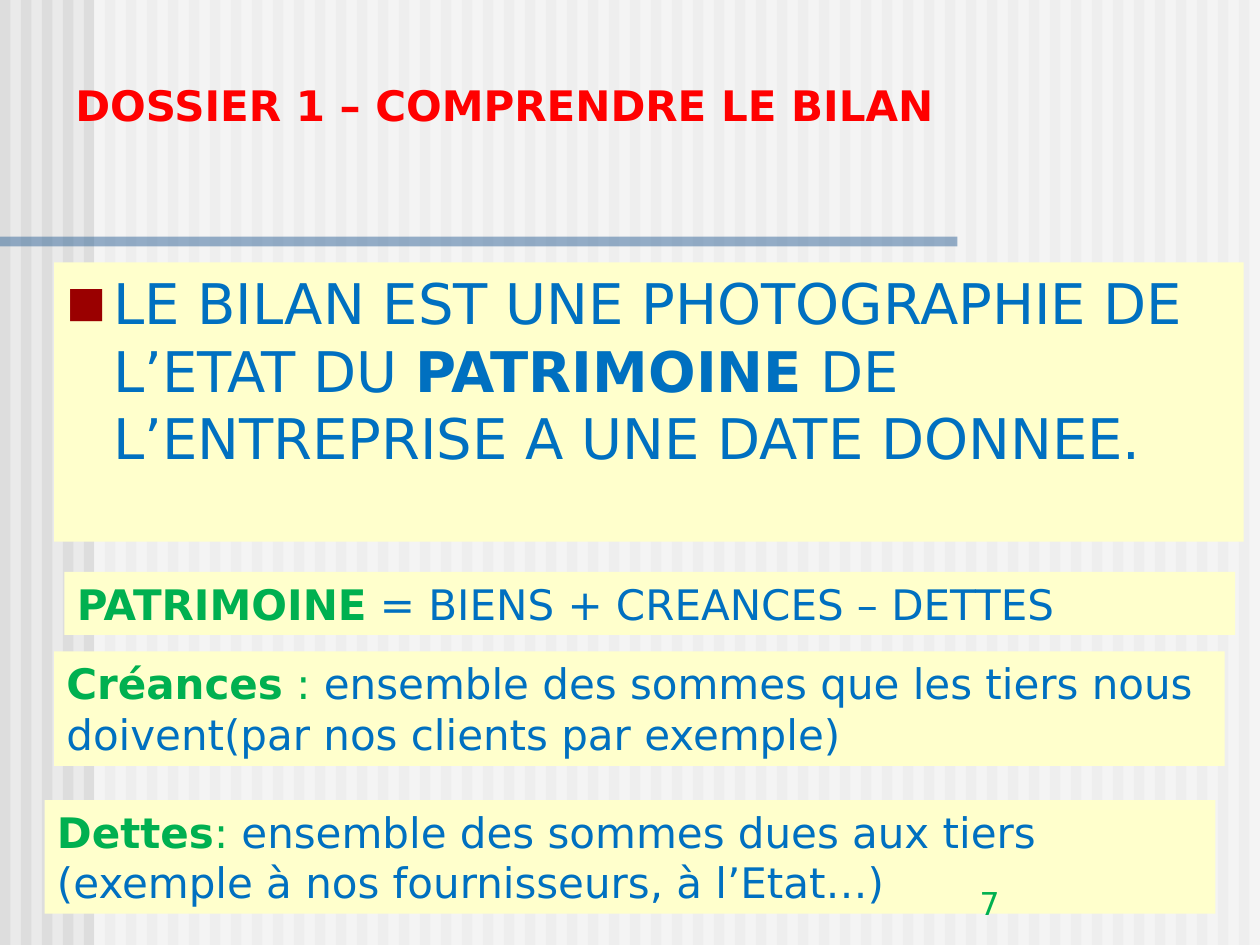
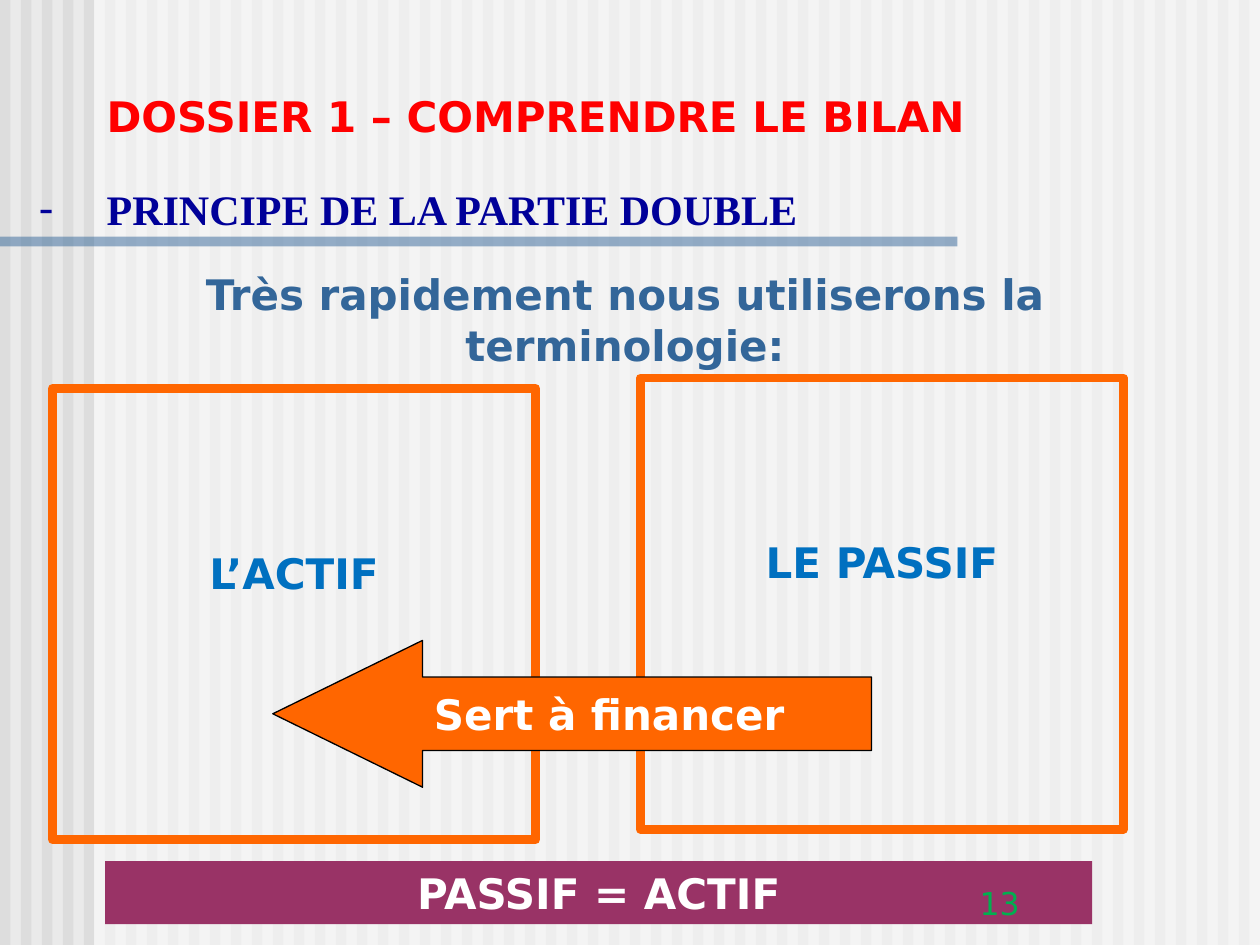
"""Build two accounting slides that explain the balance sheet."""
from dataclasses import dataclass, field
from typing import Any, NamedTuple, Optional

from lxml.etree import SubElement
from pptx import Presentation
from pptx.dml.color import RGBColor
from pptx.enum.shapes import MSO_SHAPE
from pptx.enum.text import MSO_ANCHOR, MSO_AUTO_SIZE, PP_ALIGN
from pptx.oxml.ns import qn
from pptx.util import Cm, Pt

WIDTH, HEIGHT = 25.4, 19.05
STRIPES = 60
SANS, SERIF = "DejaVu Sans", "Times New Roman"
RED, BLUE, GREEN, NAVY, STEEL = "FF0000", "0070C0", "00B050", "000099", "336699"
CREAM, ORANGE, PLUM, WHITE = "FFFFCC", "FF6600", "993366", "FFFFFF"
TITLE = "DOSSIER 1 – COMPRENDRE LE BILAN"


class Rect(NamedTuple):
    left: float
    top: float
    width: float
    height: float


class Run(NamedTuple):
    text: str
    color: str
    bold: bool = False
    size: float = 24
    font: str = SANS


class Bullet(NamedTuple):
    char: str
    color: str
    indent: float
    percent: int = 100


@dataclass
class Block:
    rect: Rect
    runs: list[Run] = field(default_factory=list)
    fill: Optional[str] = None
    line: Optional[str] = None
    line_width: float = 0.75
    alpha: int = 100
    align: Any = PP_ALIGN.LEFT
    anchor: Any = MSO_ANCHOR.TOP
    top_inset: float = 0.13
    bullet: Optional[Bullet] = None
    preset: Any = MSO_SHAPE.RECTANGLE


def rgb(color: str) -> RGBColor:
    return RGBColor.from_string(color)


def apply(target: Any, values: dict[str, Any]) -> None:
    for name, value in values.items():
        setattr(target, name, value)


def paint(sp: Any, block: Block) -> None:
    if block.fill:
        sp.fill.solid()
        sp.fill.fore_color.rgb = rgb(block.fill)
        if block.alpha < 100:
            clr = sp.element.spPr.find(f"{qn('a:solidFill')}/{qn('a:srgbClr')}")
            SubElement(clr, qn("a:alpha"), val=str(block.alpha * 1000))
    else:
        sp.fill.background()
    if block.line:
        sp.line.color.rgb = rgb(block.line)
        sp.line.width = Pt(block.line_width)
    else:
        sp.line.fill.background()


def add_bullet(p: Any, bullet: Bullet) -> None:
    pPr = p._p.get_or_add_pPr()
    indent = Cm(bullet.indent)
    pPr.set("marL", str(indent))
    pPr.set("indent", str(-indent))
    clr = SubElement(pPr, qn("a:buClr"))
    SubElement(clr, qn("a:srgbClr"), val=bullet.color)
    SubElement(pPr, qn("a:buSzPct"), val=str(bullet.percent * 1000))
    SubElement(pPr, qn("a:buFont"), typeface=SANS)
    SubElement(pPr, qn("a:buChar"), char=bullet.char)


def write(sp: Any, block: Block) -> None:
    tf = sp.text_frame
    apply(tf, {
        "word_wrap": True,
        "auto_size": MSO_AUTO_SIZE.NONE,
        "vertical_anchor": block.anchor,
        "margin_left": Cm(0.25),
        "margin_right": Cm(0.25),
        "margin_top": Cm(block.top_inset),
        "margin_bottom": Cm(0.13),
    })
    p = tf.paragraphs[0]
    apply(p, {"alignment": block.align, "space_before": Pt(0)})
    if block.bullet:
        add_bullet(p, block.bullet)
    for run in block.runs:
        r = p.add_run()
        r.text = run.text
        apply(r.font, {"name": run.font, "size": Pt(run.size), "bold": run.bold})
        r.font.color.rgb = rgb(run.color)


def fill_placeholder(sp: Any, block: Block) -> None:
    names = ("left", "top", "width", "height")
    apply(sp, {name: Cm(v) for name, v in zip(names, block.rect)})
    paint(sp, block)
    write(sp, block)


def draw(s: Any, block: Block) -> Any:
    place = [Cm(v) for v in block.rect]
    if block.fill or block.line:
        sp = s.shapes.add_shape(block.preset, *place)
        sp.shadow.inherit = False
        paint(sp, block)
    else:
        sp = s.shapes.add_textbox(*place)
    if block.runs:
        write(sp, block)
    return sp


def decorate_master(prs: Any, s: Any) -> None:
    master = prs.slide_master
    master.background.fill.solid()
    master.background.fill.fore_color.rgb = rgb("EAEAEA")
    step = WIDTH / STRIPES
    blocks = [Block(Rect(i * step, 0, step / 2, HEIGHT), fill="DDDDDD")
              for i in range(STRIPES)]
    blocks += [
        Block(Rect(1.9, 0, WIDTH - 1.9, HEIGHT), fill=WHITE, alpha=50),
        Block(Rect(0, 4.77, 19.3, 0.2), fill=STEEL, alpha=50),
    ]
    first = master.placeholders[0].element
    for number, block in enumerate(blocks, start=100):
        el = draw(s, block).element
        el.nvSpPr.cNvPr.set("id", str(number))
        first.addprevious(el)


def build_slide(s: Any, title: Rect, body: Block, blocks: list[Block], number: int) -> None:
    heading = Block(title, [Run(TITLE, RED, True)], anchor=MSO_ANCHOR.BOTTOM)
    fill_placeholder(s.shapes.title, heading)
    fill_placeholder(s.placeholders[1], body)
    page = Block(Rect(19.5, 17.45, 5.28, 1.27), [Run(str(number), GREEN, size=18)],
                 anchor=MSO_ANCHOR.BOTTOM)
    for block in [*blocks, page]:
        draw(s, block)


def build_definition(s: Any) -> None:
    body = Block(
        Rect(1.09, 5.29, 23.98, 5.63),
        [Run("LE BILAN EST UNE PHOTOGRAPHIE DE L’ETAT DU ", BLUE, size=32),
         Run("PATRIMOINE", BLUE, True, 32),
         Run(" DE L’ENTREPRISE A UNE DATE DONNEE.", BLUE, size=32)],
        fill=CREAM, bullet=Bullet("■", "9A0000", 0.94, 75))
    terms = [
        (Rect(1.3, 11.53, 23.6, 1.27), "PATRIMOINE", "",
         " = BIENS + CREANCES – DETTES"),
        (Rect(1.09, 13.13, 23.6, 2.31), "Créances", " : ",
         "ensemble des sommes que les tiers nous doivent(par nos clients par exemple)"),
        (Rect(0.9, 16.13, 23.6, 2.29), "Dettes", ": ",
         "ensemble des sommes dues aux tiers (exemple à nos fournisseurs, à l’Etat…)"),
    ]
    blocks = []
    for rect, term, colon, meaning in terms:
        runs = [Run(term, GREEN, True), Run(colon, GREEN), Run(meaning, BLUE)]
        blocks.append(Block(rect, [r for r in runs if r.text], fill=CREAM))
    build_slide(s, Rect(1.27, 1.47, 22.68, 1.27), body, blocks, 7)


def build_double_entry(s: Any) -> None:
    center = PP_ALIGN.CENTER
    body = Block(Rect(0.53, 3.57, 23.5, 1.2),
                 [Run("PRINCIPE DE LA PARTIE DOUBLE", NAVY, True, font=SERIF)],
                 bullet=Bullet("-", NAVY, 1.37))
    blocks = [Block(Rect(1.7, 5.29, 21.8, 2.29),
                    [Run("Très rapidement nous utiliserons la terminologie:", STEEL, True)],
                    align=center)]
    for left, top, side in ((12.91, 7.62, "LE PASSIF"), (1.06, 7.83, "L’ACTIF")):
        blocks.append(Block(Rect(left, top, 9.74, 9.1), [Run(side, BLUE, True)],
                            line=ORANGE, line_width=5, align=center, top_inset=3.2))
    arrow = Block(Rect(5.5, 12.91, 12.07, 2.96), fill=ORANGE, line="000000",
                  preset=MSO_SHAPE.LEFT_ARROW)
    blocks += [
        arrow,
        Block(Rect(7.2, 13.76, 10.16, 1.27), [Run("Sert à financer", WHITE, True)],
              align=center),
        Block(Rect(2.12, 17.36, 19.9, 1.27), [Run("PASSIF = ACTIF", WHITE, True)],
              fill=PLUM, align=center),
    ]
    build_slide(s, Rect(1.9, 1.7, 22.23, 1.27), body, blocks, 13)
    for sp in s.shapes:
        if not sp.is_placeholder and len(sp.adjustments if hasattr(sp, "adjustments") else ()) == 2:
            sp.adjustments[1] = 1.02


def main() -> None:
    prs = Presentation()
    apply(prs, {"slide_width": Cm(WIDTH), "slide_height": Cm(HEIGHT)})
    layout = prs.slide_layouts[1]
    definition, double_entry = (prs.slides.add_slide(layout) for _ in range(2))
    decorate_master(prs, definition)
    build_definition(definition)
    build_double_entry(double_entry)
    prs.save("out.pptx")


if __name__ == "__main__":
    main()
